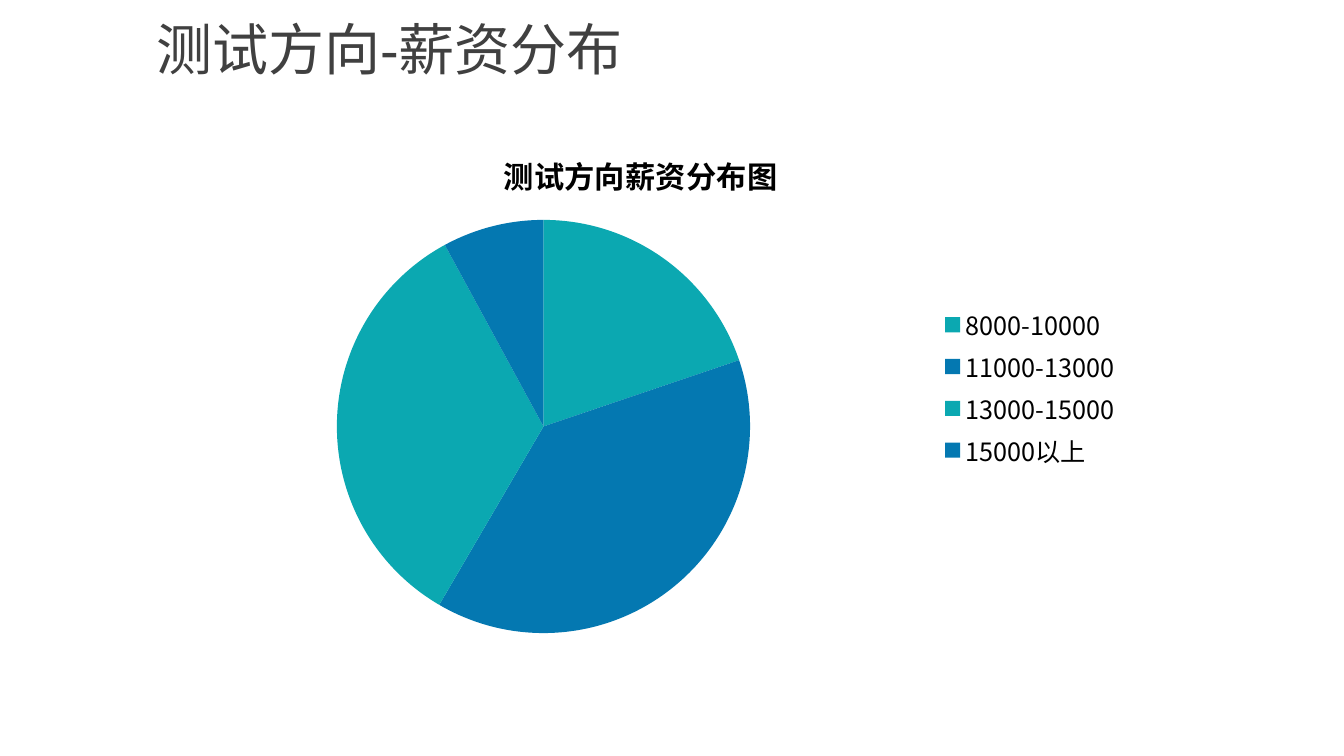
from pptx import Presentation
from pptx.chart.data import CategoryChartData
from pptx.dml.color import RGBColor
from pptx.enum import chart as charts, text
from pptx.oxml import ns
from pptx.util import Pt
from lxml import etree

GRAY = RGBColor(0x40, 0x40, 0x40)
BLACK = RGBColor(0, 0, 0)
TEAL = RGBColor(0x0B, 0xA8, 0xB1)
BLUE = RGBColor(0x04, 0x78, 0xB1)
HEADING_FONT = "Arial"
CJK_FONT = "Noto Sans CJK SC"

SALARY_TITLE = "测试方向薪资分布图"
SALARIES = {"8000-10000": 20, "11000-13000": 39, "13000-15000": 34, "15000以上": 8}


def format_font(font, name, size, color, bold=False):
    font.name = name
    font.size = Pt(size)
    font.bold = bold
    font.color.rgb = color


def write_text(frame, words, **style):
    para = frame.paragraphs[0]
    para.alignment = style.pop("align", text.PP_ALIGN.LEFT)
    span = para.add_run()
    span.text = words
    format_font(span.font, **style)
    east_asian = etree.SubElement(span.font._element, ns.qn("a:ea"))
    east_asian.set("typeface", CJK_FONT)


def add_heading(page, left, top, width, height):
    box = page.shapes.title
    box.left, box.top, box.width, box.height = map(Pt, (left, top, width, height))
    frame = box.text_frame
    frame.word_wrap = False
    frame.auto_size = text.MSO_AUTO_SIZE.SHAPE_TO_FIT_TEXT
    frame.vertical_anchor = text.MSO_ANCHOR.TOP
    write_text(frame, "测试方向-薪资分布", name=HEADING_FONT, size=40, color=GRAY)


def add_salary_pie(page, left, top, width, height):
    data = CategoryChartData()
    data.categories = list(SALARIES)
    data.add_series(SALARY_TITLE, list(SALARIES.values()))
    chart = page.shapes.add_chart(
        charts.XL_CHART_TYPE.PIE, *map(Pt, (left, top, width, height)), data
    ).chart
    format_font(chart.font, CJK_FONT, 18, BLACK)

    chart.has_title = True
    write_text(chart.chart_title.text_frame, SALARY_TITLE, name=CJK_FONT,
               size=21.6, color=BLACK, bold=True, align=text.PP_ALIGN.CENTER)
    chart.chart_title.include_in_layout = False

    chart.has_legend = True
    chart.legend.position = charts.XL_LEGEND_POSITION.RIGHT
    chart.legend.include_in_layout = False

    plot = chart.plots[0]
    plot.vary_by_categories = True
    for index in range(len(SALARIES)):
        fill = plot.series[0].points[index].format.fill
        fill.solid()
        fill.fore_color.rgb = (TEAL, BLUE)[index % 2]


def build_salary_page(deck):
    page = deck.slides.add_slide(deck.slide_layouts[5])
    add_heading(page, 104.4, 6.5, 388.8, 55.4)
    add_salary_pie(page, 107.3, 91.4, 700.6, 370.8)


def main():
    deck = Presentation()
    deck.slide_width, deck.slide_height = Pt(960), Pt(540)
    build_salary_page(deck)
    deck.save("out.pptx")


if __name__ == "__main__":
    main()
